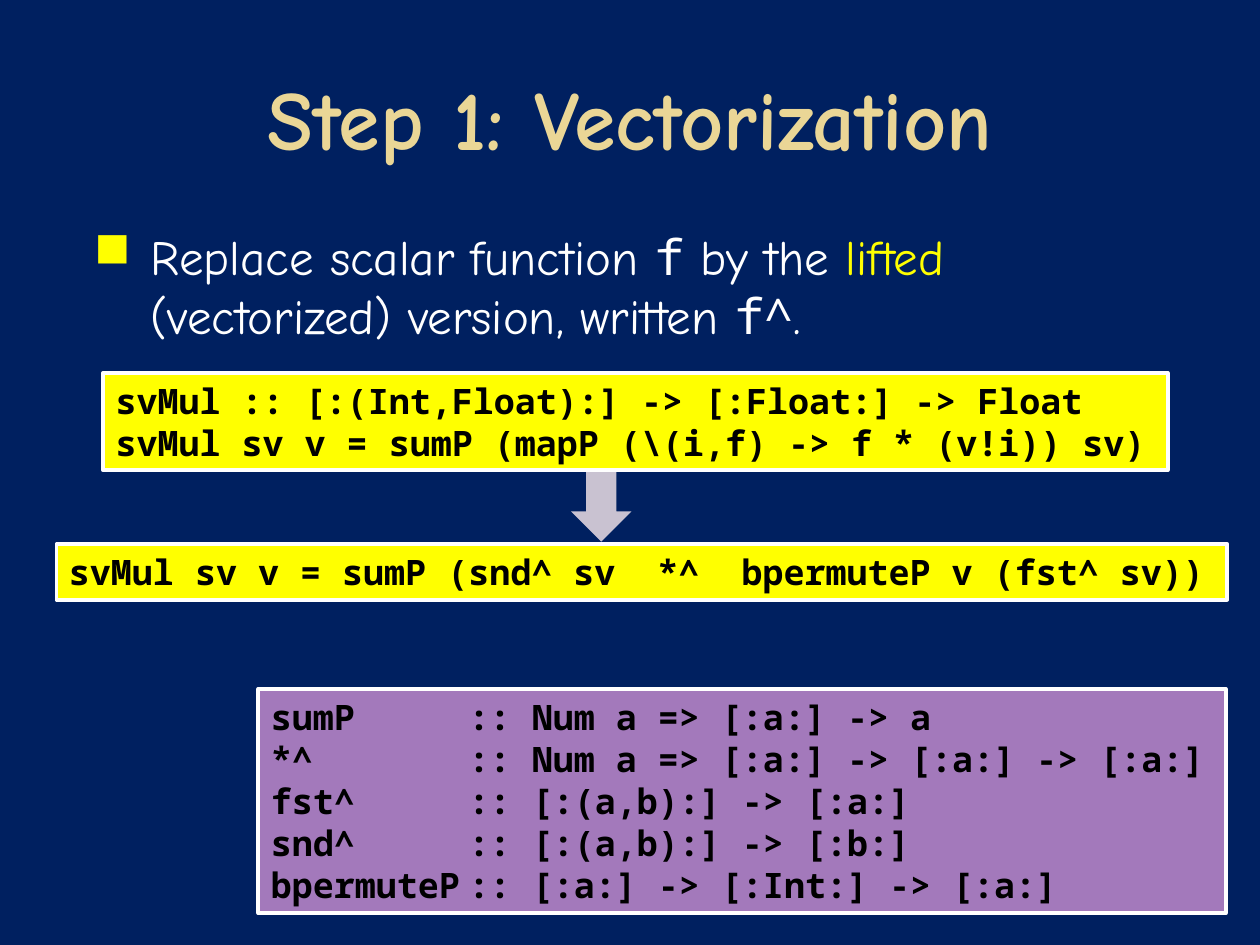
"""Build the slide on step 1 of the compilation, vectorization."""

import dataclasses

import lxml.etree
import pptx
import pptx.dml.color
import pptx.enum.shapes
import pptx.enum.text
import pptx.oxml.ns
import pptx.util

Cm = pptx.util.Cm
Pt = pptx.util.Pt

COLOURS = {
    "background": "002060",
    "title": "EAD696",
    "text": "FFFFFF",
    "accent": "FFFF00",
    "code": "000000",
    "signatures": "A379BB",
    "arrow": "C9C2D1",
}
TEXT_FONT = "Comic Neue"
CODE_FONT = "Noto Sans Mono"


@dataclasses.dataclass
class CodeBox:
    left: float
    top: float
    width: float
    height: float
    fill: str
    tab: float
    lines: list[str]


@dataclasses.dataclass
class Phrase:
    text: str
    font: str = TEXT_FONT
    colour: str = "text"


CODE_BOXES = [
    CodeBox(1.14, 10.97, 23.6, 1.12, "accent", 1.25, [
        "svMul sv v = sumP (snd^ sv  *^  bpermuteP v (fst^ sv))",
    ]),
    CodeBox(2.08, 7.52, 21.46, 1.96, "accent", 1.25, [
        "svMul :: [:(Int,Float):] -> [:Float:] -> Float",
        "svMul sv v = sumP (mapP (\\(i,f) -> f * (v!i)) sv)",
    ]),
    CodeBox(5.21, 13.89, 19.5, 4.52, "signatures", 3.99, [
        "sumP\t:: Num a => [:a:] -> a",
        "*^\t:: Num a => [:a:] -> [:a:] -> [:a:]",
        "fst^\t:: [:(a,b):] -> [:a:]",
        "snd^\t:: [:(a,b):] -> [:b:]",
        "bpermuteP\t:: [:a:] -> [:Int:] -> [:a:]",
    ]),
]
EXPLANATION = [
    Phrase("Replace scalar function "),
    Phrase("f", CODE_FONT),
    Phrase(" by the "),
    Phrase("lifted ", colour="accent"),
    Phrase("(vectorized) version, written "),
    Phrase("f^", CODE_FONT),
    Phrase("."),
]


def rgb(name: str) -> pptx.dml.color.RGBColor:
    """Return the named colour."""
    return pptx.dml.color.RGBColor.from_string(COLOURS[name])


def add_child(parent, tag: str, **attributes: str):
    """Append a DrawingML element and return it."""
    return lxml.etree.SubElement(parent, pptx.oxml.ns.qn(tag), attributes)


def style_font(font, name: str, size: float, colour: str) -> None:
    """Make a font bold with the given face, size and colour."""
    font.name = name
    font.size = Pt(size)
    font.bold = True
    font.color.rgb = rgb(colour)


def add_title(slide) -> None:
    """Fill and place the title placeholder."""
    title = slide.shapes.title
    title.left, title.top, title.width, title.height = Cm(1.27), Cm(0.76), Cm(22.86), Cm(3.18)
    title.text_frame.text = "Step 1: Vectorization"
    title.text_frame.vertical_anchor = pptx.enum.text.MSO_ANCHOR.MIDDLE
    heading = title.text_frame.paragraphs[0]
    heading.alignment = pptx.enum.text.PP_ALIGN.CENTER
    style_font(heading.font, TEXT_FONT, 48, "title")


def add_explanation(slide, phrases: list[Phrase]) -> None:
    """Add the bulleted sentence made of differently styled phrases."""
    frame = slide.shapes.add_textbox(Cm(1.27), Cm(4.45), Cm(22.86), Cm(13.08)).text_frame
    frame.word_wrap = True
    sentence = frame.paragraphs[0]
    properties = sentence._p.get_or_add_pPr()
    properties.set("marL", str(Cm(1.52)))
    properties.set("indent", str(Cm(-1.14)))
    bullet_colour = add_child(properties, "a:buClr")
    add_child(bullet_colour, "a:srgbClr", val=COLOURS["accent"])
    add_child(properties, "a:buChar", char="■")
    sentence.font.size = Pt(28)
    for phrase in phrases:
        run = sentence.add_run()
        run.text = phrase.text
        run.font.name = phrase.font
        run.font.color.rgb = rgb(phrase.colour)


def add_arrow(slide) -> None:
    """Add the arrow from the scalar code to the vectorized code."""
    arrow = slide.shapes.add_shape(
        pptx.enum.shapes.MSO_SHAPE.DOWN_ARROW, Cm(11.51), Cm(8.94), Cm(1.22), Cm(1.98)
    )
    arrow.shadow.inherit = False
    arrow.fill.solid()
    arrow.fill.fore_color.rgb = rgb("arrow")
    arrow.line.fill.background()


def add_code_box(slide, box: CodeBox) -> None:
    """Add a framed box of code lines."""
    panel = slide.shapes.add_shape(
        pptx.enum.shapes.MSO_SHAPE.RECTANGLE,
        Cm(box.left), Cm(box.top), Cm(box.width), Cm(box.height),
    )
    panel.shadow.inherit = False
    panel.fill.solid()
    panel.fill.fore_color.rgb = rgb(box.fill)
    panel.line.color.rgb = rgb("text")
    panel.line.width = Pt(2.25)
    frame = panel.text_frame
    frame.word_wrap = True
    frame.vertical_anchor = pptx.enum.text.MSO_ANCHOR.TOP
    frame.text = "\n".join(box.lines)
    for line in frame.paragraphs:
        line.alignment = pptx.enum.text.PP_ALIGN.LEFT
        tabs = add_child(line._p.get_or_add_pPr(), "a:tabLst")
        add_child(tabs, "a:tab", pos=str(Cm(box.tab)), algn="l")
        style_font(line.font, CODE_FONT, 20, "code")


def main() -> None:
    """Build and save the presentation."""
    presentation = pptx.Presentation()
    presentation.slide_width = Cm(25.4)
    presentation.slide_height = Cm(19.05)
    slide = presentation.slides.add_slide(presentation.slide_layouts[5])
    slide.background.fill.solid()
    slide.background.fill.fore_color.rgb = rgb("background")
    add_title(slide)
    add_explanation(slide, EXPLANATION)
    add_arrow(slide)
    for box in CODE_BOXES:
        add_code_box(slide, box)
    presentation.save("out.pptx")


if __name__ == "__main__":
    main()
